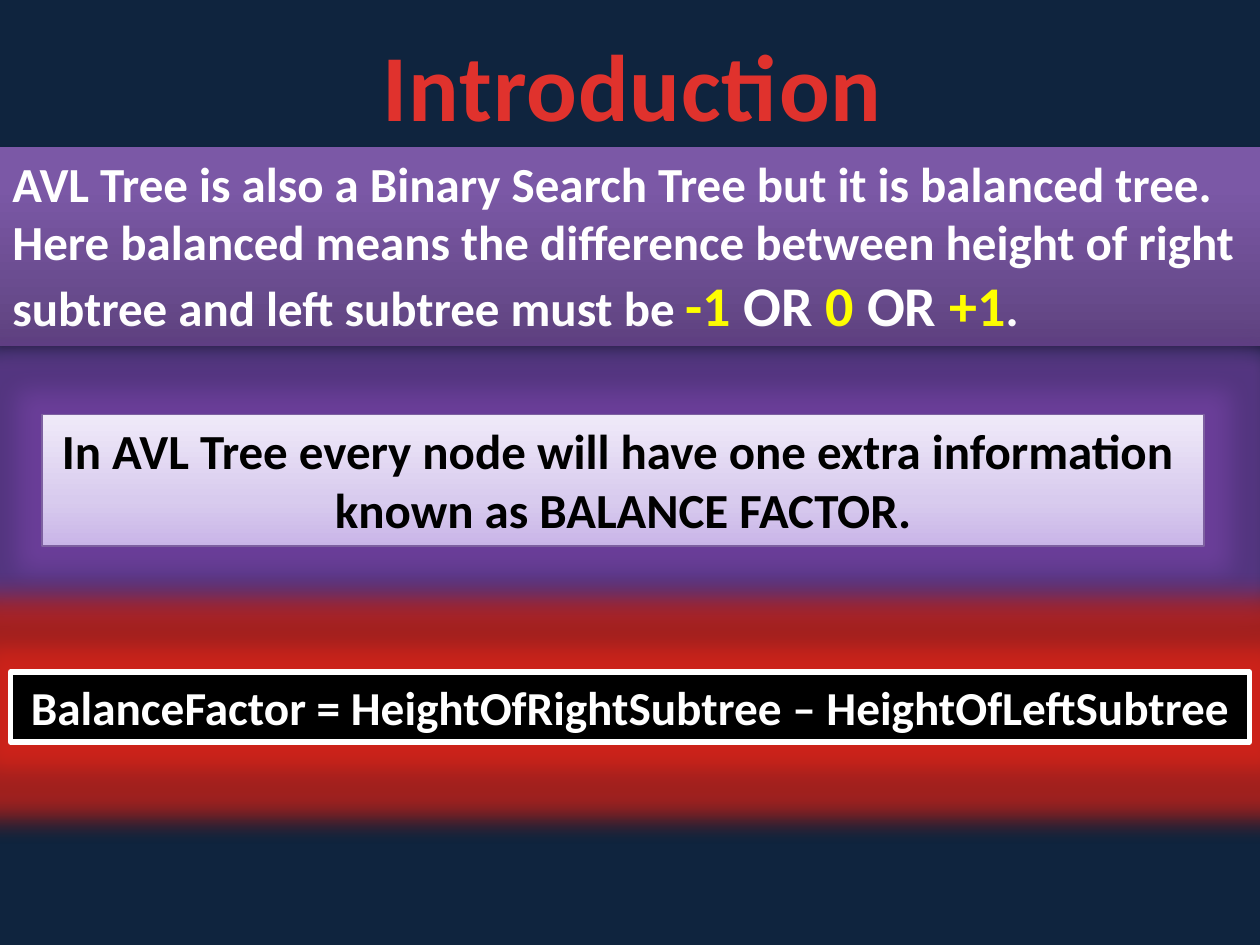
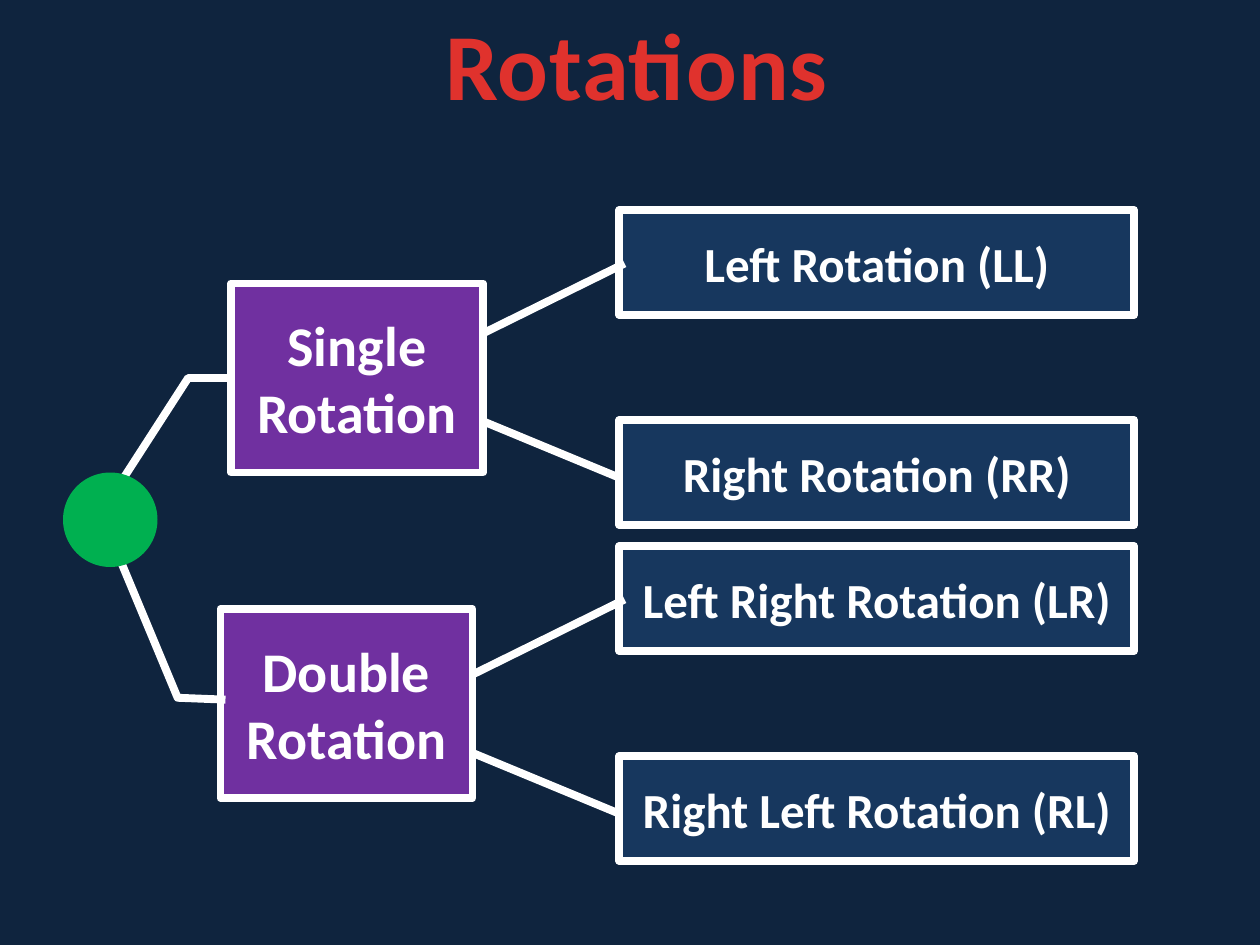
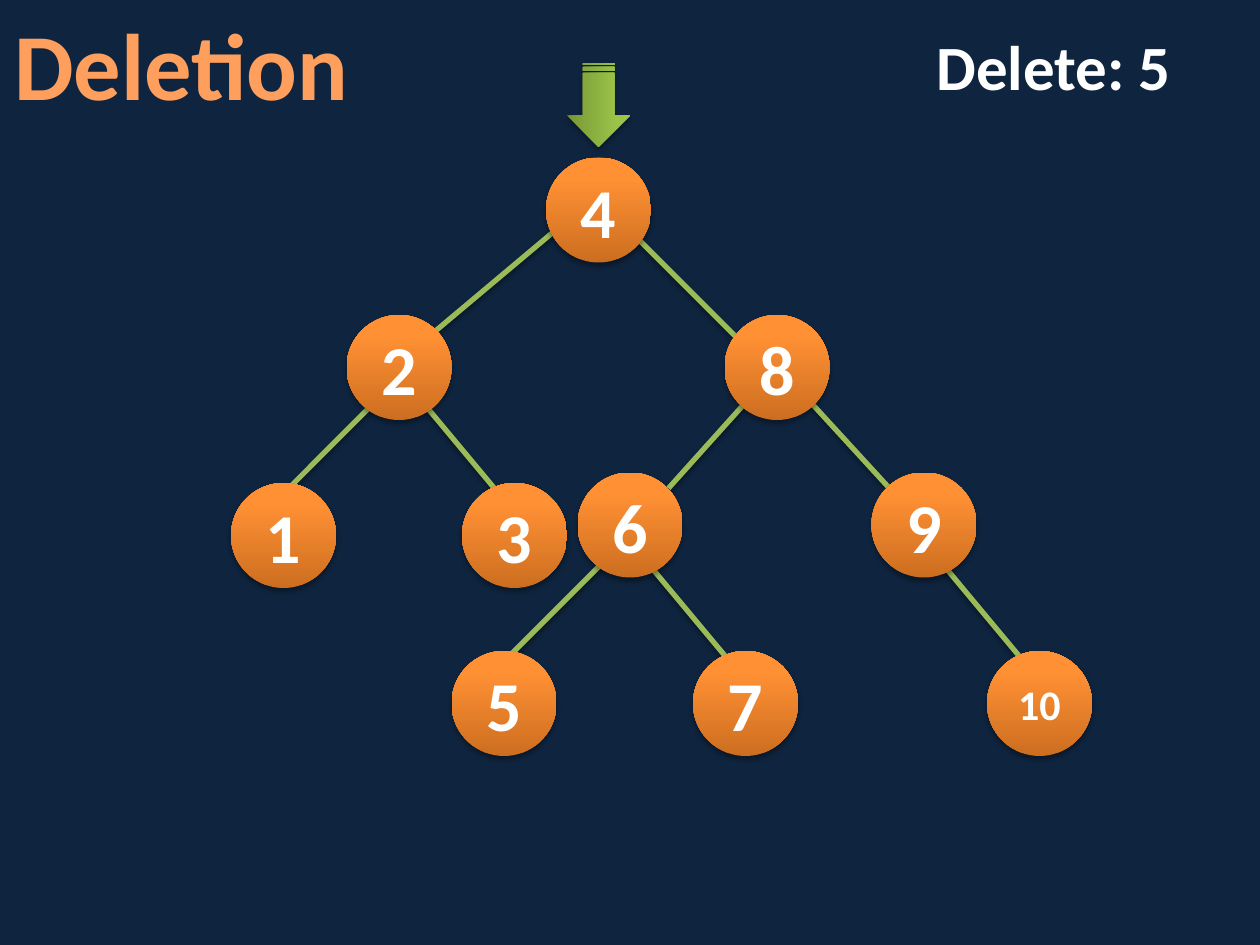
from dataclasses import dataclass

from lxml import etree
from pptx import Presentation
from pptx.dml.color import RGBColor
from pptx.enum.shapes import MSO_CONNECTOR, MSO_SHAPE
from pptx.enum.text import MSO_ANCHOR, MSO_AUTO_SIZE, PP_ALIGN
from pptx.oxml.ns import qn
from pptx.util import Pt

RECTANGLE = MSO_SHAPE.RECTANGLE
ELLIPSE = MSO_SHAPE.OVAL
ARROW = MSO_SHAPE.STRIPED_RIGHT_ARROW
CALLOUT = MSO_SHAPE.LINE_CALLOUT_1
BENT_CALLOUT = MSO_SHAPE.LINE_CALLOUT_2
STRAIGHT = MSO_CONNECTOR.STRAIGHT
LEFT, CENTER = PP_ALIGN.LEFT, PP_ALIGN.CENTER
TOP, MIDDLE = MSO_ANCHOR.TOP, MSO_ANCHOR.MIDDLE
FIT_SHAPE = MSO_AUTO_SIZE.SHAPE_TO_FIT_TEXT

FONT = "Calibri"
NAVY = RGBColor(0x0F, 0x24, 0x3E)
BLUE = RGBColor(0x17, 0x37, 0x5E)
WHITE = RGBColor(0xFF, 0xFF, 0xFF)
BLACK = RGBColor(0x00, 0x00, 0x00)
YELLOW = RGBColor(0xFF, 0xFF, 0x00)
PURPLE = RGBColor(0x70, 0x30, 0xA0)
MAUVE = RGBColor(0x7D, 0x60, 0xA0)
GREEN = RGBColor(0x00, 0xB0, 0x50)
LEAF = RGBColor(0x9B, 0xBB, 0x59)
PURPLE_GLOW = RGBColor(0x74, 0x42, 0xA4)
RED_GLOW = RGBColor(0xE0, 0x24, 0x19)


@dataclass(frozen=True)
class Gradient:
    stops: tuple[tuple[int, RGBColor], ...]
    angle: int = 270


@dataclass(frozen=True)
class Shadow:
    opacity: int
    distance: float
    blur: float = 3.1


@dataclass(frozen=True)
class Area:
    left: float
    top: float
    width: float
    height: float

    def lengths(self) -> list:
        return [Pt(value) for value in (self.left, self.top, self.width, self.height)]


@dataclass(frozen=True)
class Node:
    label: str
    left: float
    top: float
    size: int = 40


@dataclass(frozen=True)
class Edge:
    start: tuple[float, float]
    end: tuple[float, float]


@dataclass(frozen=True)
class Branch:
    lines: tuple[str, ...]
    area: Area
    pointer: tuple[float, ...]


RED_TITLE = Gradient(((25, RGBColor(0xE0, 0x32, 0x2D)), (100, RGBColor(0xA2, 0x20, 0x1C))), 90)
PEACH = RGBColor(0xFF, 0xA3, 0x67)
APRICOT = RGBColor(0xFF, 0x9F, 0x5D)
ORANGE_TITLE = Gradient(
    ((0, PEACH), (25, APRICOT), (50, RGBColor(0xF3, 0x8E, 0x3A)), (75, APRICOT), (100, PEACH)), 90
)
VIOLET_BAND = Gradient(
    ((0, RGBColor(0x5F, 0x44, 0x80)), (80, RGBColor(0x7B, 0x58, 0xA6)), (100, RGBColor(0x7C, 0x57, 0xA8)))
)
LILAC = Gradient(
    ((0, RGBColor(0xC9, 0xB5, 0xE8)), (35, RGBColor(0xD8, 0xCB, 0xEE)), (100, RGBColor(0xF0, 0xEA, 0xF9)))
)
ORANGE_BALL = Gradient(
    ((0, RGBColor(0xCC, 0x6E, 0x20)), (80, RGBColor(0xFF, 0x90, 0x34)), (100, RGBColor(0xFF, 0x91, 0x36)))
)
GREEN_ARROW = Gradient(
    ((0, RGBColor(0x77, 0x97, 0x37)), (80, RGBColor(0x9B, 0xC3, 0x48)), (100, RGBColor(0x9D, 0xC7, 0x46)))
)
DEEP_SHADOW = Shadow(35, 1.8)
SOFT_SHADOW = Shadow(38, 1.6)

RISING = (0.51, 0.01, 1.38, -0.35)
FALLING = (0.55, 0, -0.14, -0.34)
KINDS = (
    Branch(("Right Left Rotation (RL)",), Area(354, 432, 294, 60), FALLING),
    Branch(("Left Right Rotation (LR)",), Area(354, 312, 294, 60), RISING),
    Branch(("Right Rotation (RR)",), Area(354, 240, 294, 60), FALLING),
    Branch(("Left Rotation (LL)",), Area(354, 120, 294, 60), RISING),
)
FAMILIES = (
    Branch(("Single", "Rotation"), Area(132, 162, 144, 108), (0.5, 0, 0.5, -0.17, 1.12, -0.47)),
    Branch(("Double", "Rotation"), Area(126, 348, 144, 108), (0.48, 0.02, 0.47, -0.17, -0.33, -0.42)),
)
NODE_SIZE = 60
NODES = (
    Node("1", 132, 276),
    Node("2", 198, 180),
    Node("3", 264, 276),
    Node("4", 312, 90),
    Node("8", 414, 180),
    Node("5", 258, 372),
    Node("6", 330, 270),
    Node("7", 396, 372),
    Node("9", 498, 270),
    Node("10", 564, 372, 24),
)
EDGES = (
    Edge((456, 222), (522, 294)),
    Edge((444, 210), (382, 279)),
    Edge((222, 222), (156, 288)),
    Edge((324, 126), (249, 189)),
    Edge((240, 228), (300, 300)),
    Edge((360, 132), (432, 204)),
    Edge((348, 318), (282, 384)),
    Edge((372, 324), (432, 396)),
    Edge((540, 324), (600, 396)),
)


def add_color(parent, color: RGBColor, opacity: int = 100) -> None:
    entry = etree.SubElement(parent, qn("a:srgbClr"), val=str(color))
    if opacity < 100:
        etree.SubElement(entry, qn("a:alpha"), val=str(opacity * 1000))


def paint(fill, element, color: RGBColor | Gradient) -> None:
    if isinstance(color, RGBColor):
        fill.solid()
        fill.fore_color.rgb = color
        return
    fill.gradient()
    gradient = element.find(qn("a:gradFill"))
    for child in list(gradient):
        gradient.remove(child)
    gradient.set("rotWithShape", "1")
    stops = etree.SubElement(gradient, qn("a:gsLst"))
    for position, stop_color in color.stops:
        add_color(etree.SubElement(stops, qn("a:gs"), pos=str(position * 1000)), stop_color)
    etree.SubElement(gradient, qn("a:lin"), ang=str(color.angle * 60000), scaled="0")


def set_effects(shape, shadow: Shadow | None = None, glow: RGBColor | None = None) -> None:
    effects = etree.SubElement(shape._element.spPr, qn("a:effectLst"))
    if glow is not None:
        add_color(etree.SubElement(effects, qn("a:glow"), rad=str(Pt(28))), glow, 70)
    if shadow is not None:
        outer = etree.SubElement(
            effects, qn("a:outerShdw"), blurRad=str(Pt(shadow.blur)),
            dist=str(Pt(shadow.distance)), dir="5400000", rotWithShape="0",
        )
        add_color(outer, BLACK, shadow.opacity)


def add_span(para, text: str, *, size: float, color: RGBColor | Gradient = WHITE, spacing: int = 0) -> None:
    span = para.add_run()
    span.text = text
    span.font.name = FONT
    span.font.size = Pt(size)
    span.font.bold = True
    paint(span.font.fill, span.font._element, color)
    if spacing:
        span.font._element.set("spc", str(spacing))


def write(box, *lines: str, size: float, color: RGBColor | Gradient = WHITE, align=CENTER,
          anchor=TOP, wrap: bool = True, grow: bool = False, spacing: int = 0):
    frame = box.text_frame
    frame.word_wrap = wrap
    frame.vertical_anchor = anchor
    if grow:
        frame.auto_size = FIT_SHAPE
    for index, line in enumerate(lines):
        para = frame.add_paragraph() if index else frame.paragraphs[0]
        para.alignment = align
        add_span(para, line, size=size, color=color, spacing=spacing)
    return para


def add_box(page, kind, area: Area, fill: RGBColor | Gradient, *, line: RGBColor | None = None,
            line_width: float = 0, shadow: Shadow | None = None, glow: RGBColor | None = None):
    box = page.shapes.add_shape(kind, *area.lengths())
    paint(box.fill, box._element.spPr, fill)
    if line is None:
        box.line.fill.background()
    else:
        box.line.color.rgb = line
        box.line.width = Pt(line_width)
    set_effects(box, shadow, glow)
    return box


def add_label(page, area: Area, text: str, *, size: float, color: RGBColor | Gradient = WHITE,
              align=CENTER, spacing: int = 0) -> None:
    box = page.shapes.add_textbox(*area.lengths())
    write(box, text, size=size, color=color, align=align, wrap=False, grow=True, spacing=spacing)


def add_branch(page, kind, branch: Branch, fill: RGBColor, size: float) -> None:
    box = add_box(page, kind, branch.area, fill, line=WHITE, line_width=4.5)
    for index, value in enumerate(branch.pointer):
        box.adjustments[index] = value
    write(box, *branch.lines, size=size, anchor=MIDDLE)


def add_edge(page, edge: Edge) -> None:
    points = [Pt(value) for value in edge.start + edge.end]
    connector = page.shapes.add_connector(STRAIGHT, *points)
    connector.line.color.rgb = LEAF
    connector.line.width = Pt(3)
    set_effects(connector, DEEP_SHADOW)


def add_node(page, node: Node) -> None:
    area = Area(node.left, node.top, NODE_SIZE, NODE_SIZE)
    ball = add_box(page, ELLIPSE, area, ORANGE_BALL, shadow=DEEP_SHADOW)
    write(ball, node.label, size=node.size, anchor=MIDDLE)


def add_page(deck):
    page = deck.slides.add_slide(deck.slide_layouts[6])
    page.background.fill.solid()
    page.background.fill.fore_color.rgb = NAVY
    return page


def build_introduction(deck) -> None:
    page = add_page(deck)
    add_label(page, Area(210, 12, 303, 72.7), "Introduction", size=54, color=RED_TITLE, spacing=50)

    definition = add_box(page, RECTANGLE, Area(0, 84, 722, 113.5), VIOLET_BAND, shadow=DEEP_SHADOW)
    para = write(
        definition,
        "AVL Tree is also a Binary Search Tree but it is balanced tree.",
        "Here balanced means the difference between height of right",
        "subtree and left subtree must be ",
        size=28, align=LEFT, wrap=False, grow=True,
    )
    for text, color in (("-1 ", YELLOW), ("OR", WHITE), (" 0 ", YELLOW), ("OR", WHITE), (" +1", YELLOW)):
        add_span(para, text, size=32, color=color)
    add_span(para, ".", size=28)

    factor = add_box(page, RECTANGLE, Area(24, 237, 664, 75), LILAC, line=MAUVE, line_width=0.75,
                     shadow=SOFT_SHADOW, glow=PURPLE_GLOW)
    write(factor, "In AVL Tree every node will have one extra information ",
          "known as BALANCE FACTOR.", size=28, color=BLACK, wrap=False, grow=True)

    formula = add_box(page, RECTANGLE, Area(6, 384, 708, 40), BLACK, line=WHITE, line_width=3,
                      shadow=SOFT_SHADOW, glow=RED_GLOW)
    write(formula, "BalanceFactor = HeightOfRightSubtree – HeightOfLeftSubtree", size=27, grow=True)


def build_rotations(deck) -> None:
    page = add_page(deck)
    for branch in KINDS:
        add_branch(page, CALLOUT, branch, BLUE, 28)
    add_label(page, Area(246, 0, 235.5, 72.7), "Rotations", size=54, color=RED_TITLE, spacing=50)
    for branch in FAMILIES:
        add_branch(page, BENT_CALLOUT, branch, PURPLE, 32)
    add_box(page, ELLIPSE, Area(36, 270, 54, 54), GREEN)


def build_deletion(deck) -> None:
    page = add_page(deck)
    for edge in EDGES:
        add_edge(page, edge)
    add_label(page, Area(0, 0, 207.4, 72.7), "Deletion", size=54, color=ORANGE_TITLE)
    for node in NODES:
        add_node(page, node)
    add_label(page, Area(528, 12, 150, 51), "Delete: 5", size=36, align=LEFT)
    arrow = add_box(page, ARROW, Area(318, 42, 48, 36), GREEN_ARROW, shadow=DEEP_SHADOW)
    arrow.rotation = 90


def main() -> None:
    deck = Presentation()
    deck.slide_width, deck.slide_height = Pt(720), Pt(540)
    build_introduction(deck)
    build_rotations(deck)
    build_deletion(deck)
    deck.save("out.pptx")


if __name__ == "__main__":
    main()
